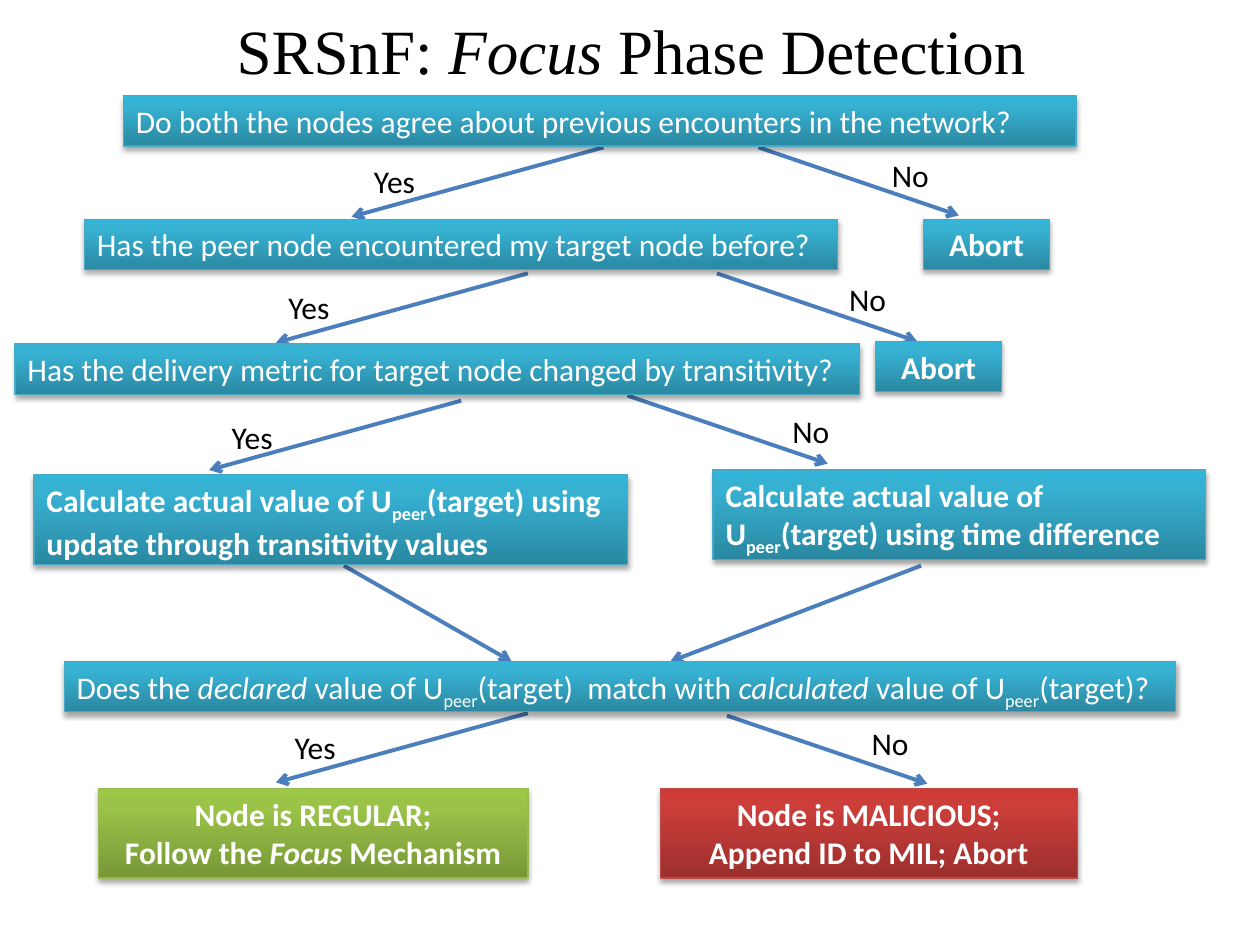
import pptx
import pptx.util
import pptx.dml.color
import pptx.enum.shapes
import pptx.enum.text
import pptx.oxml
import pptx.oxml.ns

Inches, Pt = pptx.util.Inches, pptx.util.Pt
RGBColor = pptx.dml.color.RGBColor
ALIGN = pptx.enum.text.PP_ALIGN
ANCHOR = pptx.enum.text.MSO_ANCHOR
NS = pptx.oxml.ns.nsdecls("a")

BLACK = RGBColor(0x00, 0x00, 0x00)
WHITE = RGBColor(0xFF, 0xFF, 0xFF)
ARROW = RGBColor(0x4B, 0x7E, 0xBC)
# Line colour, then gradient stops from bottom to top
BLUE = [RGBColor.from_string(c) for c in ("46AAC5", "2A88A2", "37B1D2", "34B4D6")]
GREEN = [RGBColor.from_string(c) for c in ("98B955", "779737", "9BC348", "9DC746")]
RED = [RGBColor.from_string(c) for c in ("BF4C48", "9C2F2D", "CB3E3A", "CE3B37")]

ROW, TWO_ROWS = 0.4, 0.71
YES, NO = (-2, 0.55), (1.59, 0.54)

prs = pptx.Presentation()
prs.slide_width, prs.slide_height = Inches(10), Inches(7.5)
s = prs.slides.add_slide(prs.slide_layouts[6])


def write(sp, text, color, size=18, font="Calibri", bold=False, align=ALIGN.LEFT):
    """Runs are split by |; a leading / is italic, a leading _ is subscript."""
    tf = sp.text_frame
    tf.word_wrap = True
    tf.vertical_anchor = ANCHOR.TOP
    for n, line in enumerate(text.split("\n")):
        p = tf.add_paragraph() if n else tf.paragraphs[0]
        p.alignment = align
        for part in line.split("|"):
            r = p.add_run()
            r.text = part.lstrip("/_")
            r.font.name, r.font.size = font, Pt(size)
            r.font.color.rgb = color
            r.font.bold = bold
            if part.startswith("/"):
                r.font.italic = True
            if part.startswith("_"):
                r.font._element.set("baseline", "-25000")


def add_box(x, y, w, h, text, colors, bold, align):
    sp = s.shapes.add_shape(pptx.enum.shapes.MSO_SHAPE.RECTANGLE,
                            Inches(x), Inches(y), Inches(w), Inches(h))
    line, *stops = colors
    sp.line.color.rgb = line
    sp.line.width = Pt(0.75)
    gs = "".join(f'<a:gs pos="{pos}000"><a:srgbClr val="{c}"/></a:gs>'
                 for pos, c in zip((0, 80, 100), stops))
    spPr = sp._element.spPr
    spPr.find(pptx.oxml.ns.qn("a:prstGeom")).addnext(pptx.oxml.parse_xml(
        f'<a:gradFill {NS} rotWithShape="1"><a:gsLst>{gs}</a:gsLst>'
        '<a:lin ang="16200000" scaled="0"/></a:gradFill>'))
    spPr.append(pptx.oxml.parse_xml(
        f'<a:effectLst {NS}><a:outerShdw blurRad="{Pt(3.1)}" dist="{Pt(1.8)}" dir="5400000"'
        ' rotWithShape="0"><a:srgbClr val="000000"><a:alpha val="35000"/></a:srgbClr>'
        '</a:outerShdw></a:effectLst>'))
    write(sp, text, WHITE, bold=bold, align=align)


# Title
title = s.shapes.add_textbox(Inches(0.51), Inches(0.03), Inches(9), Inches(0.73))
write(title, "SRSnF: |/Focus| Phase Detection", BLACK, 36, "Times New Roman", align=ALIGN.CENTER)
title.text_frame.vertical_anchor = ANCHOR.MIDDLE

# Arrows: start point and offset to the end
for x, y, (dx, dy) in [
    (4.79, 1.17, YES), (6.02, 1.17, NO),
    (4.19, 2.17, YES), (5.69, 2.17, NO),
    (3.66, 3.18, YES), (4.98, 3.14, NO),
    (2.73, 4.49, (1.33, 0.76)), (7.31, 4.49, (-1.99, 0.76)),
    (4.19, 5.66, YES), (5.77, 5.68, NO),
]:
    arrow = s.shapes.add_connector(pptx.enum.shapes.MSO_CONNECTOR.STRAIGHT,
                                   Inches(x), Inches(y), Inches(x + dx), Inches(y + dy))
    arrow.line.color.rgb = ARROW
    arrow.line.width = Pt(2.25)
    arrow.line._get_or_add_ln().append(pptx.oxml.parse_xml(f'<a:tailEnd {NS} type="arrow"/>'))
    arrow._element.spPr.append(pptx.oxml.parse_xml(f"<a:effectLst {NS}/>"))

# Branch labels
for text, spots in {
    "Yes": [(2.87, 1.24), (2.19, 2.24), (1.74, 3.27), (2.24, 5.73)],
    "No": [(6.98, 1.19), (6.64, 2.17), (6.19, 3.22), (6.82, 5.7)],
}.items():
    for x, y in spots:
        label = s.shapes.add_textbox(Inches(x), Inches(y), Inches(0.63), Inches(ROW))
        write(label, text, BLACK)

# Questions
for x, y, w, text in [
    (0.98, 0.76, 7.56, "Do both the nodes agree about previous encounters in the network?"),
    (0.67, 1.74, 5.98, "Has the peer node encountered my target node before?"),
    (0.12, 2.73, 6.7, "Has the delivery metric for target node changed by transitivity?"),
    (0.51, 5.25, 8.82, "Does the |/declared |value of U|_peer|(target)  match with "
                       "|/calculated |value of U|_peer|(target)?"),
]:
    add_box(x, y, w, ROW, text, BLUE, False, ALIGN.LEFT)

# Aborts
for x, y in [(7.33, 1.74), (6.95, 2.71)]:
    add_box(x, y, 1, ROW, "Abort", BLUE, True, ALIGN.CENTER)

# Calculations and outcomes
for x, y, w, text, colors, align in [
    (0.27, 3.77, 4.71, "Calculate actual value of U|_peer|(target) using update through "
                       "transitivity values", BLUE, ALIGN.LEFT),
    (5.66, 3.73, 3.91, "Calculate actual value of U|_peer|(target) using time difference",
     BLUE, ALIGN.LEFT),
    (0.78, 6.26, 3.41, "Node is REGULAR;\nFollow the |/Focus |Mechanism", GREEN, ALIGN.CENTER),
    (5.24, 6.26, 3.31, "Node is MALICIOUS;\nAppend ID to MIL; Abort", RED, ALIGN.CENTER),
]:
    add_box(x, y, w, TWO_ROWS, text, colors, True, align)

prs.save("out.pptx")
